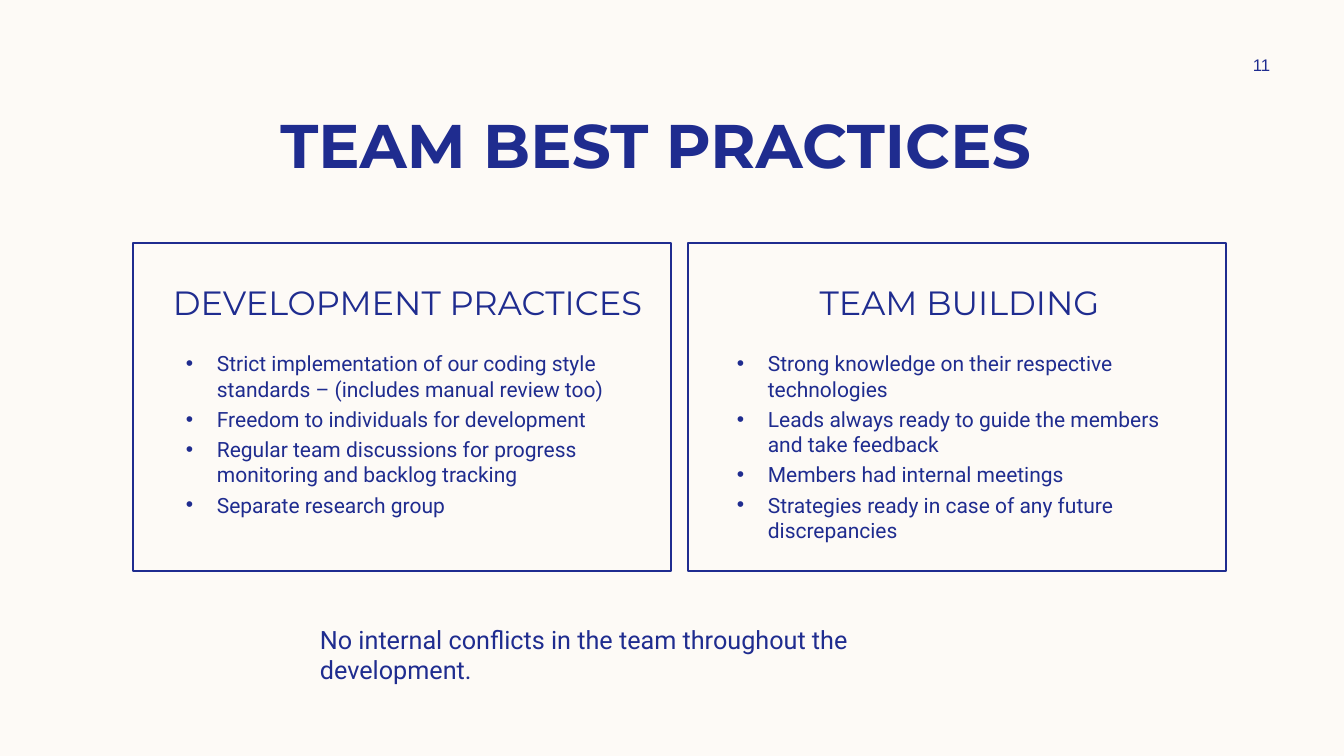
from dataclasses import dataclass

from lxml.etree import SubElement
from pptx import Presentation
from pptx.dml.color import RGBColor
from pptx.enum.shapes import MSO_SHAPE as Shape
from pptx.enum.text import MSO_ANCHOR as Anchor, PP_ALIGN as Align
from pptx.oxml.ns import qn
from pptx.util import Emu, Pt


@dataclass(frozen=True)
class Theme:
    paper: RGBColor = RGBColor(0xFD, 0xFA, 0xF6)
    ink: RGBColor = RGBColor(0x1F, 0x2C, 0x8F)
    heading_font: str = "Montserrat"
    body_font: str = "Roboto"
    number_font: str = "Arial"
    title_size: int = 44
    heading_size: int = 24
    note_size: int = 18
    bullet_size: int = 15
    number_size: int = 12
    bullet_gap: float = 3.6


THEME = Theme()
BULLET_INDENT = 31
PANEL_TOP, PANEL_WIDTH, PANEL_HEIGHT = 243, 538, 328
HEADING_TOP, HEADING_WIDTH, HEADING_HEIGHT = 277, 535, 50
BULLETS_TOP, BULLETS_HEIGHT = 346, 211

# Heading, panel left, heading left, bullets left, bullets width, bullets
PANELS = [
    ("DEVELOPMENT PRACTICES", 133, 140, 176, 441, [
        "Strict implementation of our coding style standards – (includes manual review too)",
        "Freedom to individuals for development",
        "Regular team discussions for progress monitoring and backlog tracking",
        "Separate research group",
    ]),
    ("TEAM BUILDING", 688, 692, 727, 469, [
        "Strong knowledge on their respective technologies",
        "Leads always ready to guide the members and take feedback",
        "Members had internal meetings",
        "Strategies ready in case of any future discrepancies",
    ]),
]


def px(length):
    return Emu(round(length * 914400 / 100.8))


def add_bullet(paragraph):
    paragraph.space_before = Pt(THEME.bullet_gap)
    properties = paragraph._p.get_or_add_pPr()
    properties.set("marL", str(px(BULLET_INDENT)))
    properties.set("indent", str(-px(BULLET_INDENT)))
    SubElement(properties, qn("a:buFont")).set("typeface", THEME.number_font)
    SubElement(properties, qn("a:buChar")).set("char", "•")


def add_text(slide, box, lines, font_name, size, align=Align.LEFT,
             bold=False, anchor=Anchor.TOP, bulleted=False):
    frame = slide.shapes.add_textbox(*map(px, box)).text_frame
    frame.word_wrap = True
    frame.vertical_anchor = anchor
    frame.text = "\n".join(lines)
    for paragraph in frame.paragraphs:
        paragraph.alignment = align
        if bulleted:
            add_bullet(paragraph)
        font = paragraph.font
        font.name, font.size, font.bold = font_name, Pt(size), bold
        font.color.rgb = THEME.ink


def add_panel(slide, heading, left, heading_left, bullets_left, bullets_width, bullets):
    # Outline
    frame_box = (left, PANEL_TOP, PANEL_WIDTH, PANEL_HEIGHT)
    shape = slide.shapes.add_shape(Shape.RECTANGLE, *map(px, frame_box))
    shape.shadow.inherit = False
    shape.fill.background()
    shape.line.color.rgb = THEME.ink
    shape.line.width = Pt(1)

    # Heading and bullets
    add_text(slide, (heading_left, HEADING_TOP, HEADING_WIDTH, HEADING_HEIGHT),
             [heading], THEME.heading_font, THEME.heading_size, Align.CENTER)
    add_text(slide, (bullets_left, BULLETS_TOP, bullets_width, BULLETS_HEIGHT),
             bullets, THEME.body_font, THEME.bullet_size, bulleted=True)


def main():
    presentation = Presentation()
    presentation.slide_width, presentation.slide_height = px(1344), px(756)
    slide = presentation.slides.add_slide(presentation.slide_layouts[6])
    slide.background.fill.solid()
    slide.background.fill.fore_color.rgb = THEME.paper

    # Title and page number
    add_text(slide, (68, 102, 1176, 85), ["TEAM BEST PRACTICES"],
             THEME.heading_font, THEME.title_size, Align.CENTER, bold=True)
    add_text(slide, (1207, 50, 109, 30), ["11"], THEME.number_font,
             THEME.number_size, Align.CENTER, anchor=Anchor.MIDDLE)

    # Practice panels
    for panel in PANELS:
        add_panel(slide, *panel)

    # Closing note
    add_text(slide, (310, 619, 693, 72),
             ["No internal conflicts in the team throughout the development."],
             THEME.body_font, THEME.note_size)

    presentation.save("out.pptx")


if __name__ == "__main__":
    main()
